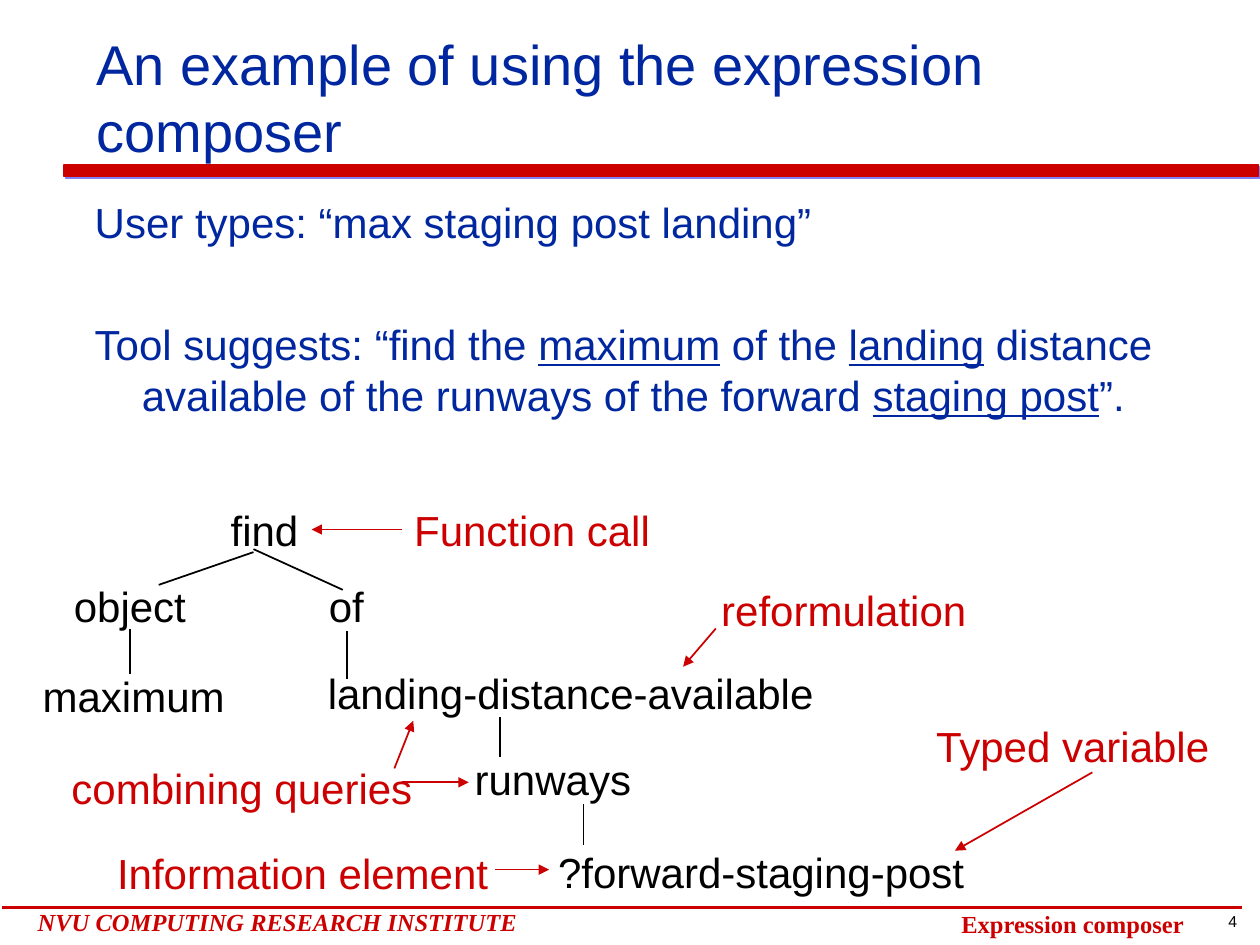
from dataclasses import dataclass

from lxml.etree import SubElement
from pptx import Presentation
from pptx.dml.color import RGBColor
from pptx.enum.shapes import MSO_CONNECTOR, MSO_SHAPE
from pptx.enum.text import MSO_ANCHOR, MSO_AUTO_SIZE, PP_ALIGN
from pptx.oxml.ns import qn
from pptx.util import Cm, Pt


@dataclass(frozen=True)
class Theme:
    red: RGBColor = RGBColor(0xCC, 0x00, 0x00)
    blue: RGBColor = RGBColor(0x00, 0x27, 0x9F)
    black: RGBColor = RGBColor(0x00, 0x00, 0x00)
    shadow: str = "8080FF"
    sans: str = "Arial"
    serif: str = "Times New Roman"
    title: int = 32
    body: int = 24
    footer: int = 14
    number: int = 9


class SlideBuilder:
    """Draws styled elements on one slide, with lengths in centimetres."""

    def __init__(self, slide, theme):
        self.slide = slide
        self.theme = theme

    def style(self, para, size, color, font=None, bold=False, italic=False):
        para.font.size = Pt(size)
        para.font.color.rgb = color
        para.font.name = font or self.theme.sans
        para.font.bold = bold
        para.font.italic = italic

    def text(self, place, words, size, color, wrap=True, anchor=MSO_ANCHOR.TOP,
             align=PP_ALIGN.LEFT, **font_style):
        box = self.slide.shapes.add_textbox(*map(Cm, place))
        frame = box.text_frame
        frame.word_wrap = wrap
        frame.auto_size = MSO_AUTO_SIZE.NONE if wrap else MSO_AUTO_SIZE.SHAPE_TO_FIT_TEXT
        frame.vertical_anchor = anchor
        para = frame.paragraphs[0]
        para.text = words
        para.alignment = align
        self.style(para, size, color, **font_style)
        return box

    def label(self, words, left, top, width, color):
        place = (left, top, width, 1.27)
        return self.text(place, words, self.theme.body, color, wrap=False)

    def body(self, place, paragraphs):
        frame = self.slide.shapes.add_textbox(*map(Cm, place)).text_frame
        frame.word_wrap = True
        for index, (space, spans) in enumerate(paragraphs):
            para = frame.add_paragraph() if index else frame.paragraphs[0]
            para.space_before = Pt(space)
            properties = para._p.get_or_add_pPr()
            properties.set("marL", str(Cm(0.95)))
            properties.set("indent", str(Cm(-0.95)))
            self.style(para, self.theme.body, self.theme.blue)
            for words, underlined in spans:
                span = para.add_run()
                span.text = words
                if underlined:
                    span.font.underline = True

    def bar(self, place):
        shape = self.slide.shapes.add_shape(MSO_SHAPE.RECTANGLE, *map(Cm, place))
        shape.fill.solid()
        shape.fill.fore_color.rgb = self.theme.red
        shape.line.color.rgb = self.theme.red
        shape.line.width = Pt(1)
        shape.shadow.inherit = False
        effects = shape._element.spPr.find(qn("a:effectLst"))
        shadow = SubElement(effects, qn("a:outerShdw"), dist=str(Pt(1.4)), dir="2700000")
        SubElement(shadow, qn("a:srgbClr"), val=self.theme.shadow)

    def line(self, start, end, color, width=1, arrow=False):
        connector = self.slide.shapes.add_connector(
            MSO_CONNECTOR.STRAIGHT, *map(Cm, (*start, *end)))
        connector.line.color.rgb = color
        connector.line.width = Pt(width)
        if arrow:
            SubElement(connector.line._get_or_add_ln(), qn("a:tailEnd"), type="triangle")
        SubElement(connector._element.spPr, qn("a:effectLst"))
        return connector


TREE_LABELS = [
    ("find", 4.4, 10.04, 1.88),
    ("object", 1.24, 11.58, 2.77),
    ("of", 6.38, 11.58, 1.22),
    ("landing-distance-available", 6.36, 13.34, 10.29),
    ("runways", 9.32, 15.06, 3.66),
    ("?forward-staging-post", 11, 16.94, 8.69),
    ("maximum", 0.61, 13.39, 4.17),
]
NOTE_LABELS = [
    ("Function call", 8.1, 10.04, 5.3),
    ("reformulation", 14.29, 11.66, 5.8),
    ("Typed variable", 18.62, 14.4, 6.1),
    ("combining queries", 1.19, 15.24, 7.8),
    ("Information element", 2.11, 16.97, 8.4),
]
BRANCHES = [
    ((5.11, 11.13), (3.2, 11.79)),
    ((5.11, 11.07), (6.91, 11.89)),
    ((2.62, 12.67), (2.62, 13.59)),
    ((6.99, 12.73), (6.99, 13.69)),
    ((10.08, 14.45), (10.08, 15.27)),
    ((11.76, 16.21), (11.76, 17.04)),
]
ARROWS = [
    ((14.43, 12.67), (13.77, 13.44)),
    ((22.02, 15.57), (19.25, 17.15)),
    ((7.95, 15.49), (8.33, 14.53)),
    ((8.1, 15.77), (9.45, 15.77)),
    ((9.98, 17.53), (11.07, 17.53)),
]
BODY = [
    (6, [("User types: “max staging post landing”", False)]),
    (41, [
        ("Tool suggests: “find the ", False),
        ("maximum", True),
        (" of the ", False),
        ("landing", True),
        (" distance available of the runways of the forward ", False),
        ("staging post", True),
        ("”.", False),
    ]),
]


def main():
    deck = Presentation()
    deck.slide_width, deck.slide_height = Cm(25.4), Cm(19.05)
    theme = Theme()
    page = SlideBuilder(deck.slides.add_slide(deck.slide_layouts[6]), theme)

    page.bar((1.29, 3.33, 24.08, 0.23))
    page.text((24.3, 18.26, 1.1, 0.64), "4", theme.number, theme.black,
              align=PP_ALIGN.CENTER)
    page.line((25.04, 18.29), (0.05, 18.29), theme.red, width=2)
    page.text((0.51, 18.16, 11.07, 0.84), "NVU COMPUTING RESEARCH INSTITUTE",
              theme.footer, theme.red, font=theme.serif, bold=True, italic=True)
    page.text((19.13, 18.21, 5, 0.84), "Expression composer",
              theme.footer, theme.red, font=theme.serif, bold=True)
    page.text((1.7, 0.23, 22.4, 3.2), "An example of using the expression composer",
              theme.title, theme.blue, anchor=MSO_ANCHOR.BOTTOM)
    page.body((1.66, 3.84, 22.17, 5.74), BODY)

    labels = {}
    for color, group in ((theme.black, TREE_LABELS), (theme.red, NOTE_LABELS)):
        for words, *place in group:
            labels[words] = page.label(words, *place, color)

    for start, end in BRANCHES:
        page.line(start, end, theme.black)
    for start, end in ARROWS:
        page.line(start, end, theme.red, arrow=True)
    call_arrow = page.line((8.1, 10.67), (6.28, 10.67), theme.red, arrow=True)
    call_arrow.begin_connect(labels["Function call"], 1)
    call_arrow.end_connect(labels["find"], 3)

    deck.save("out.pptx")


if __name__ == "__main__":
    main()
